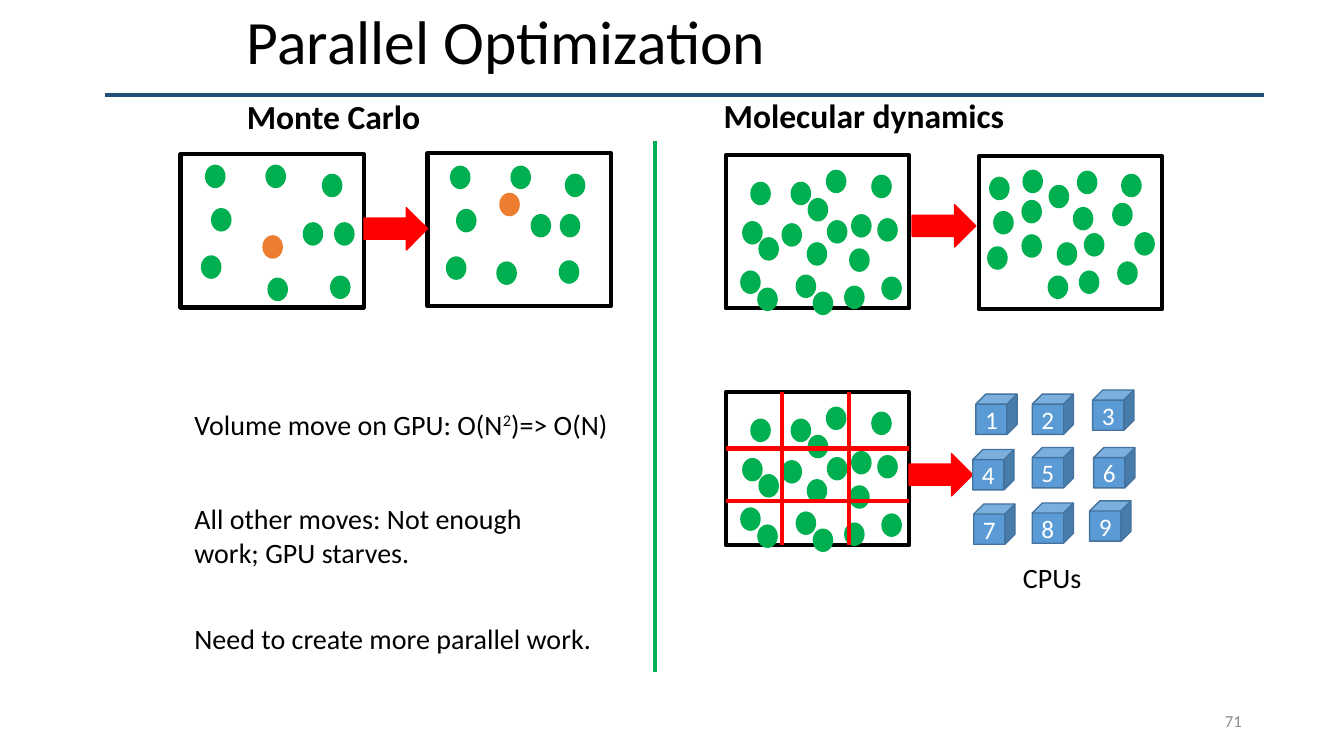
from lxml import etree
from pptx import Presentation
from pptx.dml.color import RGBColor
from pptx.enum.shapes import MSO_CONNECTOR, MSO_SHAPE
from pptx.enum.text import MSO_ANCHOR, PP_ALIGN
from pptx.oxml.ns import qn
from pptx.util import Pt

RECT, OVAL = MSO_SHAPE.RECTANGLE, MSO_SHAPE.OVAL
ARROW, CUBE = MSO_SHAPE.RIGHT_ARROW, MSO_SHAPE.CUBE
STRAIGHT = MSO_CONNECTOR.STRAIGHT
TOP, MIDDLE = MSO_ANCHOR.TOP, MSO_ANCHOR.MIDDLE
LEFT, CENTER, RIGHT = PP_ALIGN.LEFT, PP_ALIGN.CENTER, PP_ALIGN.RIGHT

COLORS = {
    "black": "000000", "white": "FFFFFF", "gray": "8C8C8C", "red": "FF0000",
    "green": "00B050", "orange": "ED7D31", "navy": "1F4E79",
    "cube": "5B9BD5", "cube edge": "43739E",
}

CELL_W, CELL_H = 131, 109.4

# Particle offsets from the corner of their simulation box
MC_BEFORE = [
    (18, 7.9), (22.3, 38.9), (15.1, 72.7), (61.2, 7.9), (87.8, 49),
    (110.2, 49), (101.5, 14.4), (62.6, 88.6), (107.3, 87.1),
]
MC_AFTER = [
    (16.6, 9.4), (20.9, 40.3), (13.7, 74.2), (98.6, 15.1), (59.8, 9.4),
    (49.7, 77.8), (94.3, 77), (74.2, 43.9), (95, 43.9),
]
MD_BEFORE = [
    (18, 19.4), (46.8, 19.4), (10.8, 82.8), (40.3, 49), (50.4, 85.7),
    (90, 42.5), (72.7, 46.8), (58.3, 62.6), (12.2, 47.5), (72, 10.8),
    (59, 31), (23, 95), (62.6, 97.9), (108.7, 45.4), (88.6, 67),
    (111.6, 87.1), (85, 93.6), (23.8, 59), (104.4, 14.4),
]
MD_AFTER = [
    (111.6, 54.7), (31, 56.2), (7.9, 15.1), (56.2, 61.9), (102.2, 13),
    (31.7, 10.1), (31, 31.7), (6.5, 64.8), (50.4, 20.9), (49.7, 85.7),
    (95.8, 33.8), (75.6, 55.4), (99.4, 75.6), (72, 82.1), (67.7, 36.7),
    (10.8, 39.6), (70.6, 10.8),
]
CPUS = [
    (697, 281.5), (737.3, 281.5), (780.5, 278.6),
    (694.8, 321.1), (737.3, 319.7), (781.2, 319.7),
    (695.5, 360), (737.3, 359.3), (778.3, 357.8),
]


def rgb(name):
    return RGBColor.from_string(COLORS[name])


class Canvas:
    """Draws styled elements on one slide; all lengths are in points."""

    font = "Calibri"

    def __init__(self, slide):
        self.shapes = slide.shapes

    def add_run(self, paragraph, text, size, color, bold=False, baseline=0):
        run = paragraph.add_run()
        run.text = text
        run.font.name = self.font
        run.font.size = Pt(size)
        run.font.bold = bold
        run.font.color.rgb = rgb(color)
        if baseline:
            run._r.get_or_add_rPr().set("baseline", str(baseline * 1000))

    def text(self, x, y, w, h, runs, size=20, color="black", bold=False,
             wrap=False, anchor=TOP, align=LEFT, spacing=1.0):
        """Add a text box; runs are (text, baseline percent) pairs."""
        frame = self.shapes.add_textbox(Pt(x), Pt(y), Pt(w), Pt(h)).text_frame
        frame.word_wrap = wrap
        frame.vertical_anchor = anchor
        paragraph = frame.paragraphs[0]
        paragraph.alignment = align
        paragraph.line_spacing = spacing
        for words, baseline in runs:
            self.add_run(paragraph, words, size, color, bold, baseline)

    def shape(self, kind, x, y, w, h, fill, edge, edge_width=1):
        shape = self.shapes.add_shape(kind, Pt(x), Pt(y), Pt(w), Pt(h))
        shape.shadow.inherit = False
        shape.fill.solid()
        shape.fill.fore_color.rgb = rgb(fill)
        shape.line.color.rgb = rgb(edge)
        shape.line.width = Pt(edge_width)
        return shape

    def line(self, x1, y1, x2, y2, color, width=3):
        line = self.shapes.add_connector(STRAIGHT, Pt(x1), Pt(y1), Pt(x2), Pt(y2))
        line.line.color.rgb = rgb(color)
        line.line.width = Pt(width)
        etree.SubElement(line._element.spPr, qn("a:effectLst"))

    def particle(self, x, y, color="green"):
        self.shape(OVAL, x, y, 13.7, 15.8, color, color)

    def simulation_box(self, x, y, particles, moved=None):
        """Draw a box of particles, with the moved one in orange."""
        self.shape(RECT, x, y, CELL_W, CELL_H, "white", "black", 3)
        for dx, dy in particles:
            self.particle(x + dx, y + dy)
        if moved:
            self.particle(x + moved[0], y + moved[1], "orange")

    def step_arrow(self, x, y):
        self.shape(ARROW, x, y, 45.4, 30.2, "red", "red")

    def cpu(self, x, y, number):
        cube = self.shape(CUBE, x, y, 29.5, 28.8, "cube", "cube edge")
        frame = cube.text_frame
        frame.word_wrap = False
        frame.vertical_anchor = MIDDLE
        frame.margin_left = frame.margin_right = 0
        paragraph = frame.paragraphs[0]
        paragraph.alignment = CENTER
        self.add_run(paragraph, str(number), 18, "white")


def main():
    deck = Presentation()
    deck.slide_width, deck.slide_height = Pt(960), Pt(540)
    canvas = Canvas(deck.slides.add_slide(deck.slide_layouts[6]))

    canvas.text(169.2, -0.7, 620.6, 65.5, [("Parallel Optimization", 0)],
                size=44, wrap=True, anchor=MIDDLE, spacing=0.9)
    canvas.line(74.9, 67.7, 902.9, 67.7, "navy")
    canvas.line(468, 100.8, 468, 480.2, "green", 2.5)
    canvas.text(678.2, 500.4, 216, 28.8, [("71", 0)], size=12, color="gray",
                wrap=True, anchor=MIDDLE, align=RIGHT)

    # Monte Carlo
    canvas.text(169.2, 64.8, 139.7, 36, [("Monte Carlo", 0)], size=24, bold=True)
    canvas.simulation_box(128.9, 110.2, MC_BEFORE, moved=(59, 58.3))
    canvas.simulation_box(305.3, 109.4, MC_AFTER, moved=(51.8, 28.8))
    canvas.step_arrow(260, 148.3)
    canvas.text(131.8, 287.3, 313.2, 31.7,
                [("Volume move on GPU: O(N", 0), ("2", 30), (")=> O(N)", 0)])
    canvas.text(131.8, 355, 256.3, 55.4,
                [("All other moves: Not enough work; GPU starves.", 0)], wrap=True)
    canvas.text(131.8, 440.6, 300.2, 31.7,
                [("Need to create more parallel work.", 0)])

    # Molecular dynamics
    canvas.text(509.8, 64.1, 216.7, 36, [("Molecular dynamics", 0)],
                size=24, bold=True)
    canvas.simulation_box(518.4, 110.9, MD_BEFORE)
    canvas.simulation_box(699.1, 111.6, MD_AFTER)
    canvas.step_arrow(651.6, 146.2)

    # Domain decomposition over the CPUs
    domain_x, domain_y = 518.4, 280.1
    canvas.simulation_box(domain_x, domain_y, MD_BEFORE)
    for dy in (40.3, 77.8):
        canvas.line(domain_x, domain_y + dy, domain_x + CELL_W, domain_y + dy, "red")
    for dx in (40.3, 87.8):
        canvas.line(domain_x + dx, domain_y, domain_x + dx, domain_y + CELL_H, "red")
    canvas.step_arrow(649.4, 324)
    for number, (x, y) in enumerate(CPUS, start=1):
        canvas.cpu(x, y, number)
    canvas.text(723.6, 396.7, 56.9, 31.7, [("CPUs", 0)])

    deck.save("out.pptx")


if __name__ == "__main__":
    main()
